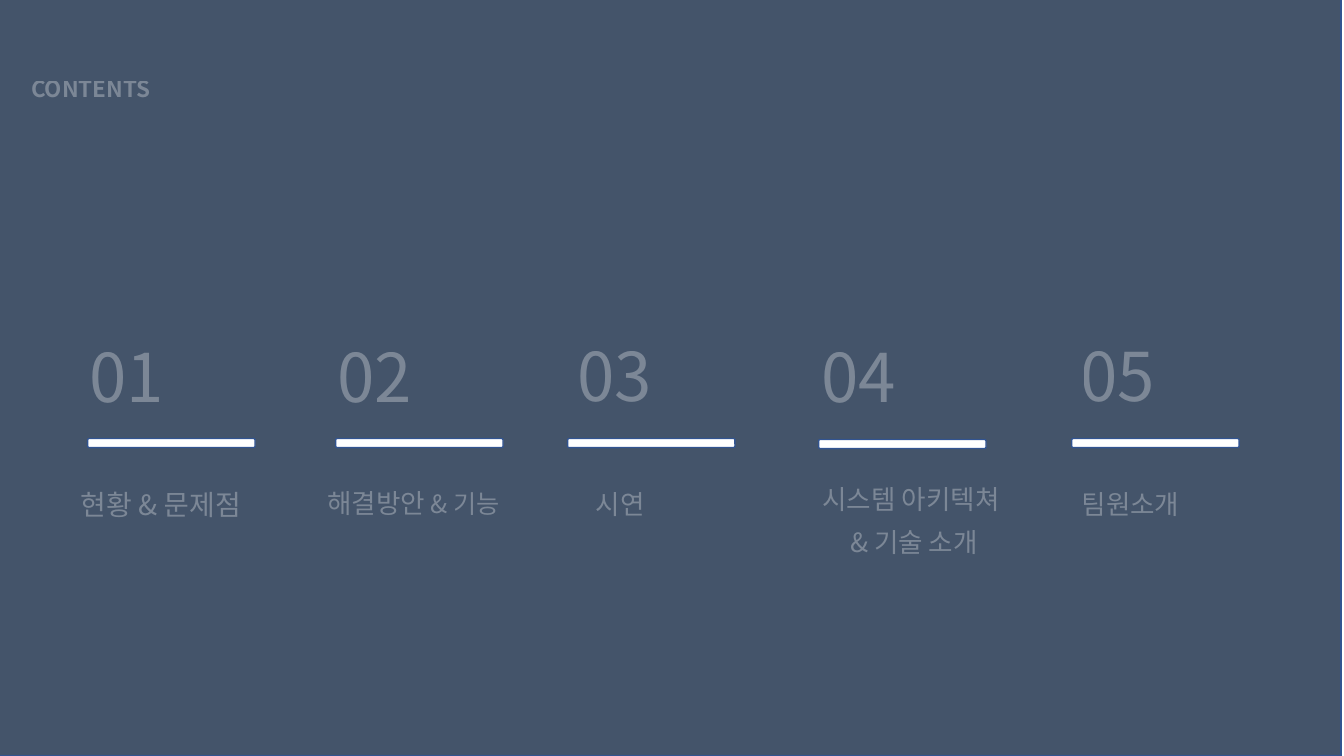
from dataclasses import dataclass

from lxml.etree import SubElement
from pptx import Presentation
from pptx.dml.color import RGBColor
from pptx.enum.shapes import MSO_SHAPE
from pptx.enum.text import MSO_ANCHOR, PP_ALIGN
from pptx.oxml.ns import qn
from pptx.slide import Slide
from pptx.util import Inches, Pt

FONT = "Noto Sans CJK KR"
WHITE = "FFFFFF"
NAVY = "44546A"
EDGE = "325491"
OPACITY = "30000"

Run = tuple[str, float]
Box = tuple[float, float, float, float]


@dataclass(frozen=True)
class Section:
    number: str
    number_left: float
    number_top: float
    bar_left: float
    bar_top: float
    title_box: Box
    title: list[list[Run]]
    align: PP_ALIGN = PP_ALIGN.LEFT


SECTIONS = [
    Section("01", 0.79, 3.25, 0.87, 4.35, (0.7, 4.67, 2.46, 0.7),
            [[("현황 & 문제점", 20)]]),
    Section("02", 3.25, 3.25, 3.33, 4.35, (3.15, 4.66, 2.85, 0.7),
            [[("해결방안", 19), (" & 기능", 18)]]),
    Section("03", 5.63, 3.24, 5.63, 4.35, (5.81, 4.68, 2.12, 0.68),
            [[("시연", 19)]]),
    Section("04", 8.05, 3.25, 8.12, 4.36, (7.77, 4.77, 2.59, 0.83),
            [[("시스템 아키텍쳐 ", 19)], [("& 기술 소개", 19)]], PP_ALIGN.CENTER),
    Section("05", 10.62, 3.24, 10.63, 4.35, (10.63, 4.8, 1.99, 0.44),
            [[("팀원소개", 19)]]),
]


def rgb(value: str) -> RGBColor:
    return RGBColor.from_string(value)


def add_block(slide: Slide, kind: MSO_SHAPE, box: Box, fill: str) -> None:
    block = slide.shapes.add_shape(kind, *map(Inches, box))
    block.shadow.inherit = False
    block.fill.solid()
    block.fill.fore_color.rgb = rgb(fill)
    block.line.color.rgb = rgb(EDGE)
    block.line.width = Pt(1)


def add_text(slide: Slide, box: Box, paragraphs: list[list[Run]], *, bold: bool = False,
             before: float = 10, align: PP_ALIGN = PP_ALIGN.LEFT) -> None:
    frame = slide.shapes.add_textbox(*map(Inches, box)).text_frame
    frame.word_wrap = True
    frame.vertical_anchor = MSO_ANCHOR.MIDDLE
    for index, runs in enumerate(paragraphs):
        paragraph = frame.add_paragraph() if index else frame.paragraphs[0]
        paragraph.alignment = align
        paragraph.line_spacing = 0.9
        paragraph.space_before = Pt(before)
        for text, size in runs:
            run = paragraph.add_run()
            run.text = text
            run.font.size = Pt(size)
            run.font.bold = bold
            run.font.name = FONT
            run.font.fill.solid()
            run.font.fill.fore_color.rgb = rgb(WHITE)
            fade_run(run.font._element)


def fade_run(properties) -> None:
    SubElement(properties, qn("a:ea"), typeface=FONT)
    fill_color = properties.find(qn("a:solidFill")).find(qn("a:srgbClr"))
    SubElement(fill_color, qn("a:alpha"), val=OPACITY)
    outline = SubElement(properties, qn("a:ln"), w=str(Pt(0.75)))
    outline_fill = SubElement(outline, qn("a:solidFill"))
    outline_color = SubElement(outline_fill, qn("a:srgbClr"), val=WHITE)
    SubElement(outline_color, qn("a:alpha"), val=OPACITY)
    properties.insert(0, outline)


def main() -> None:
    deck = Presentation()
    deck.slide_width = Inches(13.33)
    deck.slide_height = Inches(7.5)
    slide = deck.slides.add_slide(deck.slide_layouts[6])

    add_block(slide, MSO_SHAPE.RECTANGLE, (-0.03, -0.03, 13.33, 7.53), NAVY)
    add_text(slide, (0.21, 0.68, 2.19, 0.44), [[("CONTENTS", 16)]], bold=True, before=0)
    for section in SECTIONS:
        add_text(slide, (section.number_left, section.number_top, 1.81, 1.05),
                 [[(section.number, 48)]])
        add_text(slide, section.title_box, section.title, align=section.align)
        add_block(slide, MSO_SHAPE.FLOWCHART_ALTERNATE_PROCESS,
                  (section.bar_left, section.bar_top, 1.66, 0.09), WHITE)

    deck.save("out.pptx")


if __name__ == "__main__":
    main()
